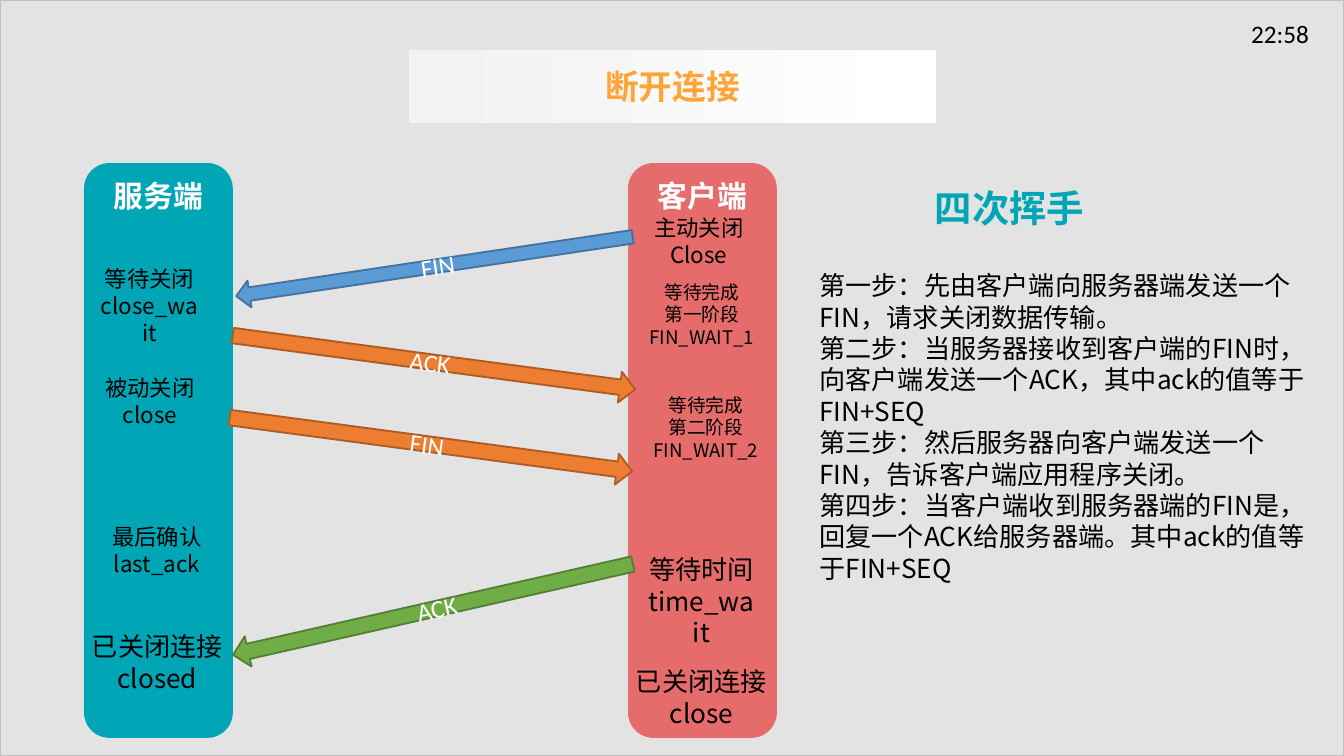
from dataclasses import dataclass

from lxml.etree import SubElement
from pptx import Presentation
from pptx.dml.color import RGBColor
from pptx.enum.shapes import MSO_SHAPE as Shape
from pptx.enum.text import MSO_ANCHOR as Anchor, MSO_AUTO_SIZE as AutoSize, PP_ALIGN as Align
from pptx.oxml.ns import qn
from pptx.util import Emu, Inches, Pt

SLIDE_WIDTH, SLIDE_HEIGHT = 1344, 756
EMU_PER_PX = Inches(10) / SLIDE_WIDTH
CJK_FONT, LATIN_FONT = "Noto Sans CJK SC", "Calibri"
TEAL, RED, ORANGE = "00A6B6", "E66B6B", "ED7D31"
LABEL_HEIGHTS = {10: 82, 12: 67, 14: 77}  # by text size


@dataclass
class Column:
    left: int
    name: str
    color: str


@dataclass
class Label:
    left: int
    top: int
    width: int
    size: int
    lines: list[str]


@dataclass
class Message:
    left: int
    top: int
    width: int
    height: int
    rotation: float
    kind: Shape
    fill: str
    line: str
    text: str


COLUMNS = [Column(85, "服务端", TEAL), Column(629, "客户端", RED)]
LABELS = [
    Label(87, 259, 125, 12, ["等待关闭", "close_wait"]),
    Label(91, 368, 118, 12, ["被动关闭", "close"]),
    Label(98, 517, 118, 12, ["最后确认", "last_ack"]),
    Label(78, 624, 159, 14, ["已关闭连接", "closed"]),
    Label(640, 208, 118, 12, ["主动关闭", "Close"]),
    Label(634, 274, 136, 10, ["等待完成", "第一阶段", "FIN_WAIT_1"]),
    Label(638, 387, 136, 10, ["等待完成", "第二阶段", "FIN_WAIT_2"]),
    Label(633, 547, 137, 14, ["等待时间", "time_wait"]),
    Label(622, 659, 159, 14, ["已关闭连接", "close"]),
]
MESSAGES = [
    Message(234, 253, 401, 27, -8.5, Shape.LEFT_ARROW, "5B9BD5", "43739E", "FIN"),
    Message(231, 347, 406, 31, 7.6, Shape.RIGHT_ARROW, ORANGE, "AF5C24", "ACK"),
    Message(228, 429, 406, 31, 7.6, Shape.RIGHT_ARROW, ORANGE, "AF5C24", "FIN"),
    Message(228, 594, 410, 31, -12.8, Shape.LEFT_ARROW, "70AD47", "538035", "ACK"),
]
STEPS = [
    "第一步：先由客户端向服务器端发送一个FIN，请求关闭数据传输。",
    "第二步：当服务器接收到客户端的FIN时，向客户端发送一个ACK，其中ack的值等于FIN+SEQ",
    "第三步：然后服务器向客户端发送一个FIN，告诉客户端应用程序关闭。",
    "第四步：当客户端收到服务器端的FIN是，回复一个ACK给服务器端。其中ack的值等于FIN+SEQ",
]


def px(value: int) -> Emu:
    return Emu(round(value * EMU_PER_PX))


def rgb(color: str) -> RGBColor:
    return RGBColor.from_string(color)


def write(shape, lines: list[str], *, size: float, color: str = "000000", font: str = CJK_FONT,
          bold: bool = False, align: Align = Align.CENTER, anchor: Anchor = Anchor.TOP,
          wrap: bool = True, grow: bool = False) -> None:
    frame = shape.text_frame
    frame.word_wrap = wrap
    frame.vertical_anchor = anchor
    frame.auto_size = AutoSize.SHAPE_TO_FIT_TEXT if grow else AutoSize.NONE
    frame.text = "\n".join(lines)
    for paragraph in frame.paragraphs:
        paragraph.alignment = align
        run = paragraph.runs[0]
        run.font.size = Pt(size)
        run.font.bold = bold
        run.font.name = font
        run.font.color.rgb = rgb(color)
        SubElement(run.font._element, qn("a:ea"), typeface=CJK_FONT)


def place(shape, left: int, top: int, width: int, height: int) -> None:
    shape.left, shape.top, shape.width, shape.height = map(px, (left, top, width, height))


def add_shape(slide, kind: Shape, left: int, top: int, width: int, height: int,
              fill: str, line: str):
    shape = slide.shapes.add_shape(kind, *map(px, (left, top, width, height)))
    shape.shadow.inherit = False
    shape.fill.solid()
    shape.fill.fore_color.rgb = rgb(fill)
    shape.line.color.rgb = rgb(line)
    shape.line.width = Pt(1)
    return shape


def add_text(slide, left: int, top: int, width: int, height: int, lines: list[str], **style) -> None:
    box = slide.shapes.add_textbox(*map(px, (left, top, width, height)))
    write(box, lines, grow=True, **style)


def add_backdrop(slide) -> None:
    """Translucent grey sheet behind everything else."""
    backdrop = add_shape(slide, Shape.RECTANGLE, 0, 0, SLIDE_WIDTH, SLIDE_HEIGHT, "808080", "BFBFBF")
    color = backdrop._element.spPr.find(qn("a:solidFill"))[0]
    SubElement(color, qn("a:alpha"), val="22000")
    slide.shapes._spTree.insert(2, backdrop._element)


def format_title(title) -> None:
    """Turn the title placeholder into a rounded gradient pill."""
    place(title, 409, 50, 527, 73)
    geometry = SubElement(title._element.spPr, qn("a:prstGeom"), prst="roundRect")
    SubElement(geometry, qn("a:avLst"))
    title.adjustments[0] = 0.42
    title.fill.gradient()
    title.fill.gradient_angle = 0
    for stop, position, color in zip(title.fill.gradient_stops, (0, 0.99), ("F2F2F2", "FFFFFF")):
        stop.position = position
        stop.color.rgb = rgb(color)
    write(title, ["断开连接"], size=18, color="FFA538", bold=True, anchor=Anchor.MIDDLE)


def format_steps(body) -> None:
    place(body, 806, 263, 527, 331)
    write(body, STEPS, size=14, align=Align.LEFT, grow=True)
    for paragraph in body.text_frame.paragraphs:
        paragraph.space_before = Pt(0)
        properties = paragraph._p.get_or_add_pPr()
        properties.set("marL", "0")
        properties.set("indent", "0")
        SubElement(properties, qn("a:buNone"))


def add_column(slide, column: Column) -> None:
    shape = add_shape(slide, Shape.ROUNDED_RECTANGLE, column.left, 164, 147, 573,
                      column.color, column.color)
    write(shape, [column.name], size=16, color="FFFFFF", font=LATIN_FONT, bold=True)


def add_label(slide, label: Label) -> None:
    add_text(slide, label.left, label.top, label.width, LABEL_HEIGHTS[label.size],
             label.lines, size=label.size)


def add_message(slide, message: Message) -> None:
    arrow = add_shape(slide, message.kind, message.left, message.top, message.width,
                      message.height, message.fill, message.line)
    arrow.rotation = message.rotation
    write(arrow, [message.text], size=13.5, color="FFFFFF", font=LATIN_FONT, anchor=Anchor.MIDDLE)


def main() -> None:
    presentation = Presentation()
    presentation.slide_width, presentation.slide_height = px(SLIDE_WIDTH), px(SLIDE_HEIGHT)
    slide = presentation.slides.add_slide(presentation.slide_layouts[1])
    add_backdrop(slide)
    format_title(slide.shapes.title)
    format_steps(slide.placeholders[1])
    add_text(slide, 1238, 12, 90, 38, ["22:58"], size=13.5, font=LATIN_FONT,
             align=Align.LEFT, wrap=False)
    for column in COLUMNS:
        add_column(slide, column)
    for label in LABELS:
        add_label(slide, label)
    for message in MESSAGES:
        add_message(slide, message)
    add_text(slide, 884, 179, 251, 59, ["四次挥手"], size=20, color=TEAL, bold=True)
    presentation.save("out.pptx")


if __name__ == "__main__":
    main()
